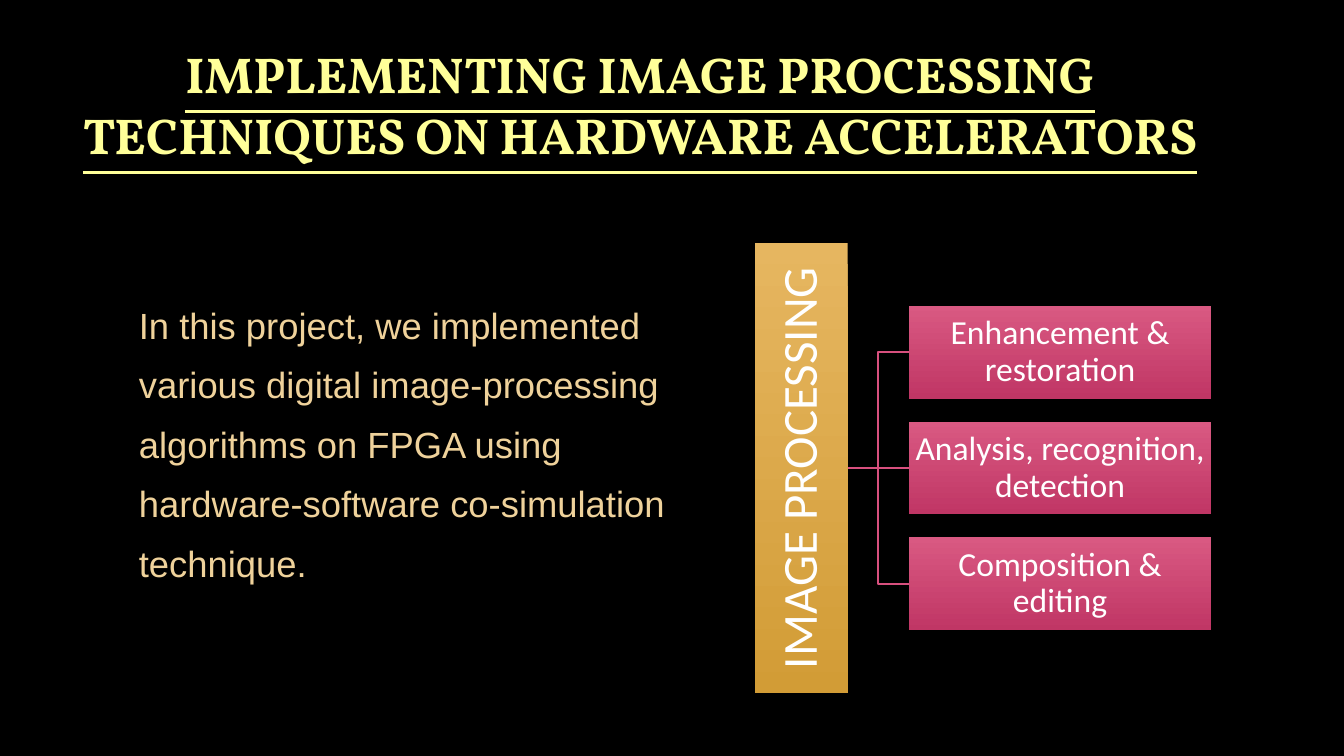
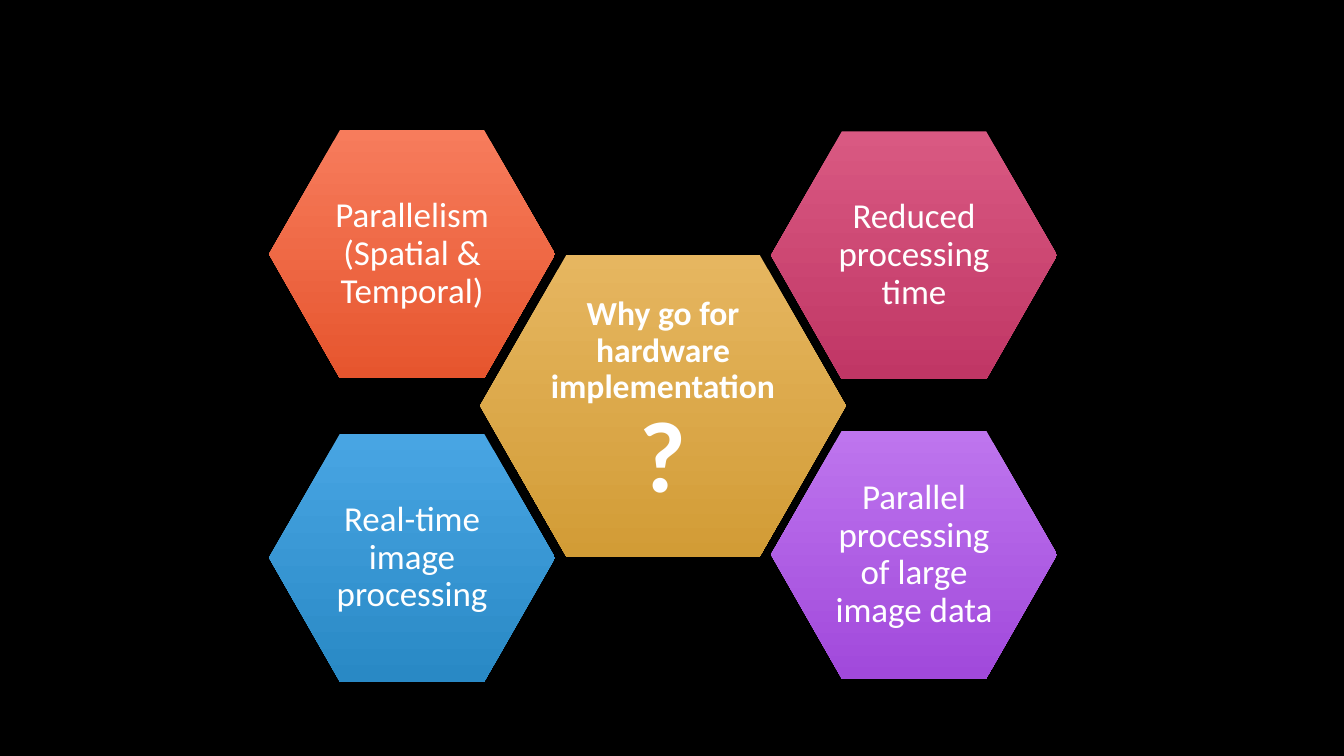
import pptx
import pptx.dml.color
import pptx.enum.shapes
import pptx.enum.text
import pptx.util
from lxml import etree

Cm = pptx.util.Cm
Pt = pptx.util.Pt
SHAPE = pptx.enum.shapes.MSO_SHAPE
CONNECTOR = pptx.enum.shapes.MSO_CONNECTOR
ALIGN = pptx.enum.text.PP_ALIGN
A = "{http://schemas.openxmlformats.org/drawingml/2006/main}"

BLACK = "000000"
WHITE = "FFFFFF"
TITLE = "FFFF99"
BODY = "EFD29B"
LINK = "D8507E"
GOLD = ("E6B660", "D29C36")
ORANGE = ("F77C5C", "E6552E")
PINK = ("D95982", "C03665")
BLUE = ("48A5E3", "2989C5")
PURPLE = ("BE75EE", "A149DB")


def rgb(value):
    """Turn a hex string into a colour."""
    return pptx.dml.color.RGBColor.from_string(value)


def add_text(tf, text, size, color=WHITE, font="Calibri", bold=False, underline=False,
             align=ALIGN.CENTER, spacing=0.9, before=0, after=0):
    """Add one formatted paragraph and return it."""
    p = tf.paragraphs[0] if not tf.text else tf.add_paragraph()
    p.alignment = align
    p.line_spacing = spacing
    p.space_before, p.space_after = Pt(before), Pt(after)
    r = p.add_run()
    r.text = text
    r.font.name, r.font.size = font, Pt(size)
    r.font.bold, r.font.underline = bold, underline
    r.font.color.rgb = rgb(color)
    return p


def setup_frame(tf, inset):
    """Wrap and centre a text frame vertically with equal insets."""
    tf.word_wrap = True
    tf.auto_size = pptx.enum.text.MSO_AUTO_SIZE.NONE
    tf.vertical_anchor = pptx.enum.text.MSO_ANCHOR.MIDDLE
    tf.margin_left = tf.margin_right = tf.margin_top = tf.margin_bottom = Cm(inset)


def place(sp, x, y, w, h):
    """Move a shape to a box given in centimetres."""
    sp.left, sp.top, sp.width, sp.height = Cm(x), Cm(y), Cm(w), Cm(h)


def add_block(s, kind, x, y, w, h, colors):
    """Draw a shape with a top-to-bottom gradient and no line."""
    sp = s.shapes.add_shape(kind, Cm(x), Cm(y), Cm(w), Cm(h))
    sp.shadow.inherit = False
    sp.line.fill.background()
    sp.fill.gradient()
    sp.fill.gradient_angle = 270
    for stop, color in zip(sp.fill.gradient_stops, colors):
        stop.color.rgb = rgb(color)
    setup_frame(sp.text_frame, 0.06)
    return sp


def add_hexagon(s, x, y, w, h, colors):
    """Draw a gradient hexagon."""
    sp = add_block(s, SHAPE.HEXAGON, x, y, w, h, colors)
    sp.adjustments[0] = 0.286
    return sp


def join(s, kind, start, end):
    """Connect the right side of one block to the left side of another."""
    cxn = s.shapes.add_connector(kind, 0, 0, 0, 0)
    cxn.begin_connect(start, 3)
    cxn.end_connect(end, 1)
    cxn.line.color.rgb = rgb(LINK)
    cxn.line.width = Pt(1.5)
    etree.SubElement(cxn.element.spPr, A + "effectLst")


def fill_title(s, text, x, y, w, h):
    """Place and fill the title placeholder."""
    sp = s.shapes.title
    place(sp, x, y, w, h)
    setup_frame(sp.text_frame, 0.25)
    add_text(sp.text_frame, text, 36, TITLE, "Vollkorn", bold=True, underline=True, spacing=1.0)


def fill_body(s, lines, x, y, w, h):
    """Place and fill the body placeholder with plain lines."""
    sp = s.placeholders[1]
    place(sp, x, y, w, h)
    setup_frame(sp.text_frame, 0.25)
    for line in lines:
        p = add_text(sp.text_frame, line, 26, BODY, "Arial", align=ALIGN.LEFT,
                     spacing=1.0, before=1.3, after=10)
        pPr = p._p.get_or_add_pPr()
        pPr.set("marL", "0")
        pPr.set("indent", "0")
        etree.SubElement(pPr, A + "buNone")


def add_tree(s, root, leaves, x, y, w, h):
    """Draw a vertical root bar joined to a column of leaves."""
    thick, gap, pitch = 2.34, 1.54, 2.92
    bar = add_block(s, SHAPE.RECTANGLE, x, y, thick, h, GOLD)
    bar.element.txBody.bodyPr.set("vert", "vert270")
    add_text(bar.text_frame, root, 35)
    middle = (len(leaves) - 1) / 2
    for i, text in enumerate(leaves):
        top = y + (h - thick) / 2 + (i - middle) * pitch
        leaf = add_block(s, SHAPE.RECTANGLE, x + thick + gap, top, w - thick - gap, thick, PINK)
        add_text(leaf.text_frame, text, 24)
        join(s, CONNECTOR.STRAIGHT if i == middle else CONNECTOR.ELBOW, bar, leaf)


def add_cluster(s, question, reasons, x, y, w, h):
    """Draw a central hexagon with one reason at each corner of the box."""
    core_w, core_h, side_w, side_h = 9.22, 7.62, 7.21, 6.25
    core = add_hexagon(s, x + (w - core_w) / 2, y + (h - core_h) / 2, core_w, core_h, GOLD)
    add_text(core.text_frame, question, 24, bold=True)
    add_text(core.text_frame, "?", 72, bold=True)
    for text, colors, column, dy in reasons:
        sp = add_hexagon(s, x + column * (w - side_w), y + dy, side_w, side_h, colors)
        add_text(sp.text_frame, text, 25)


def project_slide(prs):
    """Build the project overview slide."""
    s = prs.slides.add_slide(prs.slide_layouts[1])
    fill_title(s, "IMPLEMENTING IMAGE PROCESSING TECHNIQUES ON HARDWARE ACCELERATORS",
               1.65, 0.79, 28.96, 3.66)
    fill_body(s, ["In this project, we implemented", "various digital image-processing",
                  "algorithms on FPGA using", "hardware-software co-simulation",
                  "technique."], 3.25, 4.85, 25.76, 12.67)
    add_tree(s, "IMAGE PROCESSING",
             ["Enhancement & restoration", "Analysis, recognition, detection",
              "Composition & editing"], 19.02, 6.12, 11.51, 11.35)


def reasons_slide(prs):
    """Build the slide on reasons for hardware."""
    s = prs.slides.add_slide(prs.slide_layouts[6])
    reasons = [("Parallelism (Spatial & Temporal)", ORANGE, 0, 0),
               ("Reduced processing time", PINK, 1, 0.03),
               ("Parallel processing of large image data", PURPLE, 1, 7.57),
               ("Real-time image processing", BLUE, 0, 7.65)]
    add_cluster(s, "Why go for hardware implementation", reasons, 6.78, 3.28, 19.86, 13.89)


def main():
    """Build and save the presentation."""
    prs = pptx.Presentation()
    prs.slide_width, prs.slide_height = Cm(33.87), Cm(19.05)
    fill = prs.slide_master.background.fill
    fill.solid()
    fill.fore_color.rgb = rgb(BLACK)
    project_slide(prs)
    reasons_slide(prs)
    prs.save("out.pptx")


if __name__ == "__main__":
    main()
